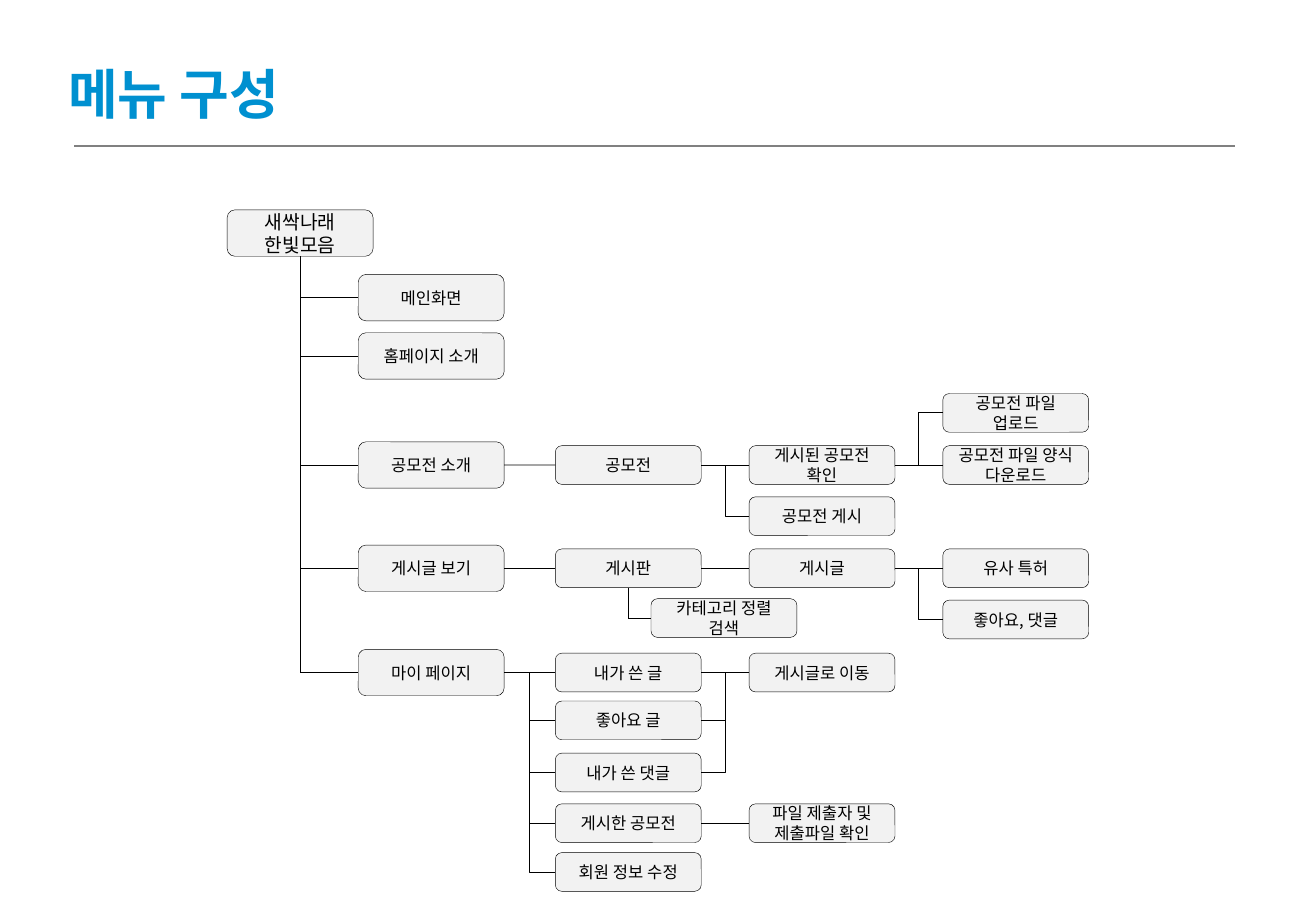
from lxml import etree
from pptx import Presentation
from pptx.dml.color import RGBColor
from pptx.enum import shapes, text
from pptx.oxml.ns import qn
from pptx.util import Cm, Pt

BLUE = RGBColor(0x00, 0x90, 0xD0)
BLACK = RGBColor(0, 0, 0)
GRAY = RGBColor(0x80, 0x80, 0x80)
PALE = RGBColor(0xF2, 0xF2, 0xF2)
FONT = "Noto Sans CJK KR"
ROOT = "새싹나래 한빛모음"
WIDE, TALL, LOW = 3.05, 0.97, 0.81

# Each column: left, box height, {label: top}, relative to the tree
COLS = [
    (0, TALL, {ROOT: 0}),
    (2.74, TALL, {"메인화면": 1.35, "홈페이지 소개": 2.57, "공모전 소개": 4.85,
                  "게시글 보기": 7.01, "마이 페이지": 9.19}),
    (6.86, LOW, {"공모전": 4.93, "게시판": 7.09, "내가 쓴 글": 9.27,
                 "좋아요 글": 10.27, "내가 쓴 댓글": 11.36,
                 "게시한 공모전": 12.42, "회원 정보 수정": 13.44}),
    (8.86, LOW, {"카테고리 정렬 검색": 8.13}),
    (10.91, LOW, {"게시된 공모전 확인": 4.93, "공모전 게시": 6, "게시글": 7.09,
                  "게시글로 이동": 9.27, "파일 제출자 및 제출파일 확인": 12.42}),
    (14.96, LOW, {"공모전 파일 업로드": 3.84, "공모전 파일 양식 다운로드": 4.93,
                  "유사 특허": 7.09, "좋아요, 댓글": 8.16}),
]

# Children hanging below a box, joined at their left side
DROPS = {
    ROOT: list(COLS[1][2]),
    "게시판": ["카테고리 정렬 검색"],
}

# Children to the right of a box
SIDES = {
    "공모전 소개": ["공모전"],
    "공모전": ["게시된 공모전 확인", "공모전 게시"],
    "게시된 공모전 확인": ["공모전 파일 업로드", "공모전 파일 양식 다운로드"],
    "게시글 보기": ["게시판"],
    "게시판": ["게시글"],
    "게시글": ["유사 특허", "좋아요, 댓글"],
    "마이 페이지": list(COLS[2][2])[2:],
    "내가 쓴 글": ["게시글로 이동"],
    "좋아요 글": ["게시글로 이동"],
    "내가 쓴 댓글": ["게시글로 이동"],
    "게시한 공모전": ["파일 제출자 및 제출파일 확인"],
}


def add_line(slide, start, end, color=BLACK, width=0.5, bent=False):
    kind = shapes.MSO_CONNECTOR.ELBOW if bent else shapes.MSO_CONNECTOR.STRAIGHT
    line = slide.shapes.add_connector(kind, *start, *end)
    line.line.color.rgb = color
    line.line.width = Pt(width)
    etree.SubElement(line._element.spPr, qn("a:effectLst"))
    return line


def add_box(slide, label, left, top, height, size):
    box = slide.shapes.add_shape(shapes.MSO_SHAPE.ROUNDED_RECTANGLE,
                                 left, top, Cm(WIDE), Cm(height))
    box.shadow.inherit = False
    box.fill.solid()
    box.fill.fore_color.rgb = PALE
    box.line.color.rgb = BLACK
    box.line.width = Pt(0.25)
    frame = box.text_frame
    frame.text = label
    frame.word_wrap = True
    frame.vertical_anchor = text.MSO_ANCHOR.MIDDLE
    para = frame.paragraphs[0]
    para.alignment = text.PP_ALIGN.CENTER
    font = para.runs[0].font
    font.name, font.size, font.color.rgb = FONT, Pt(size), BLACK
    etree.SubElement(font._element, qn("a:ea"), typeface=FONT)
    return box


def middle(box):
    return box.top + box.height // 2


def drop(slide, box, kids):
    x = box.left + box.width // 2
    trunk = add_line(slide, (x, box.top + box.height), (x, middle(kids[-1])))
    trunk.begin_connect(box, 2)
    for kid in kids:
        y = middle(kid)
        add_line(slide, (x, y), (kid.left, y)).end_connect(kid, 1)


def join(slide, box, kid):
    start, end = middle(box), middle(kid)
    line = add_line(slide, (box.left + box.width, start), (kid.left, end),
                    bent=abs(end - start) > Cm(0.2))
    line.begin_connect(box, 3)
    line.end_connect(kid, 1)


def add_head(slide, left, top, width):
    # Title
    title = slide.shapes.title
    title.left, title.top = left, top
    title.width, title.height = Cm(5.33), Cm(1.63)
    frame = title.text_frame
    frame.text = "메뉴 구성"
    frame.word_wrap = False
    frame.auto_size = text.MSO_AUTO_SIZE.NONE
    frame.vertical_anchor = text.MSO_ANCHOR.TOP
    para = frame.paragraphs[0]
    para.alignment = text.PP_ALIGN.LEFT
    font = para.runs[0].font
    font.name, font.size, font.bold = "Calibri", Pt(32), True
    font.color.rgb = BLUE
    # Rule below the title
    y = top + Cm(1.91)
    add_line(slide, (left + Cm(0.38), y), (left + width, y), GRAY, 1.5)


def add_tree(slide, left, top):
    # Boxes
    boxes = {}
    for x, height, rows in COLS:
        for label, y in rows.items():
            size = 11.4 if label == ROOT else 9.8
            boxes[label] = add_box(slide, label, left + Cm(x), top + Cm(y),
                                   height, size)
    # Connectors
    for label, kids in DROPS.items():
        drop(slide, boxes[label], [boxes[kid] for kid in kids])
    for label, kids in SIDES.items():
        for kid in kids:
            join(slide, boxes[label], boxes[kid])


def main():
    deck = Presentation()
    deck.slide_width, deck.slide_height = Cm(27.51), Cm(19.05)
    slide = deck.slides.add_slide(deck.slide_layouts[5])
    add_head(slide, Cm(1.17), Cm(1.14), Cm(24.64))
    add_tree(slide, Cm(4.75), Cm(4.39))
    deck.save("out.pptx")


if __name__ == "__main__":
    main()
